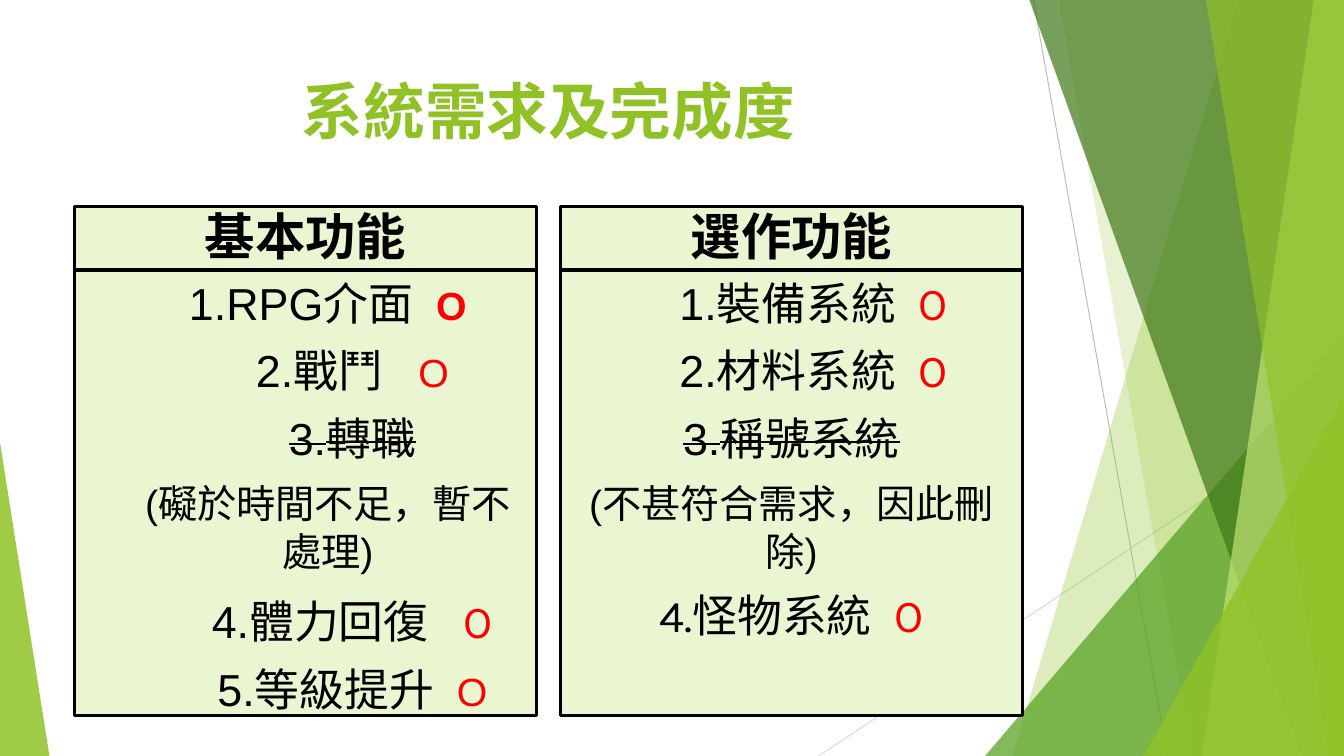
import pptx
import pptx.util
import pptx.dml.color
import pptx.enum.shapes
import pptx.enum.text
import pptx.oxml
import pptx.oxml.ns

Inches, Pt = pptx.util.Inches, pptx.util.Pt
RGB = pptx.dml.color.RGBColor
SHAPE = pptx.enum.shapes.MSO_SHAPE
ANCHOR = pptx.enum.text.MSO_ANCHOR
CENTER = pptx.enum.text.PP_ALIGN.CENTER

LIME = RGB(0x90, 0xC2, 0x26)
GREEN = RGB(0x54, 0xA0, 0x21)
DARK = RGB(0x3F, 0x78, 0x19)
LIGHT = RGB(0xC0, 0xE4, 0x74)
PALE = RGB(0xEA, 0xF6, 0xD1)
BLACK = RGB(0, 0, 0)
RED = RGB(0xFF, 0, 0)
GRAY = RGB(0xBF, 0xBF, 0xBF)
SILVER = RGB(0xD9, 0xD9, 0xD9)

ARIAL, KARLA, NOTO = "Arial", "Karla", "Noto Sans CJK SC"
WIDE, HIGH = 13.33, 7.5
STEP = 0.44  # list indent
DEEP = 0.93  # indent of tabbed items

# Items: text, indent, size, font, struck, space before, gap, mark font, bold mark
BASIC = [
    ("1.RPG介面", STEP, 32, ARIAL, False, 0, 9, ARIAL, True),
    ("2.戰鬥", DEEP, 32, ARIAL, False, 10, 18, ARIAL, False),
    ("3.轉職", DEEP, 32, ARIAL, True, 10, 0, None, False),
    ("(礙於時間不足，暫不處理)", STEP, 28, ARIAL, False, 10, 0, None, False),
    ("4.體力回復", DEEP, 32, ARIAL, False, 14, 18, NOTO, False),
    ("5.等級提升", DEEP, 32, ARIAL, False, 10, 9, ARIAL, False),
]
EXTRA = [
    ("1.裝備系統", STEP, 32, ARIAL, False, 0, 9, NOTO, False),
    ("2.材料系統", STEP, 32, ARIAL, False, 10, 9, NOTO, False),
    ("3.稱號系統", 0, 32, ARIAL, True, 10, 0, None, False),
    ("(不甚符合需求，因此刪除)", 0, 28, ARIAL, False, 10, 0, None, False),
    ("4.怪物系統", 0, 32, KARLA, False, 10, 9, NOTO, False),
]


def paint(shape, color, alpha):
    """Fill a shape with a see-through color and no outline."""
    shape.shadow.inherit = False
    shape.fill.solid()
    shape.fill.fore_color.rgb = color
    shape.line.fill.background()
    tint = shape.fill._xPr.find(".//" + pptx.oxml.ns.qn("a:srgbClr"))
    tint.append(pptx.oxml.parse_xml(
        f'<a:alpha {pptx.oxml.ns.nsdecls("a")} val="{alpha * 1000}"/>'))


def draw_line(slide, start, end, color):
    ends = [Inches(n) for n in (*start, *end)]
    line = slide.shapes.add_connector(
        pptx.enum.shapes.MSO_CONNECTOR.STRAIGHT, *ends)
    line.line.color.rgb = color
    line.line.width = Pt(0.75)
    line._element.spPr.append(pptx.oxml.parse_xml(
        f'<a:effectLst {pptx.oxml.ns.nsdecls("a")}/>'))


def draw_band(slide, top, foot, color, alpha):
    """Band from a slanted left edge to the right side of the slide."""
    pen = slide.shapes.build_freeform(Inches(top), 0, scale=1.0)
    pen.add_line_segments(
        [(Inches(x), Inches(y))
         for x, y in ((WIDE, 0), (WIDE, HIGH), (foot, HIGH))], close=True)
    paint(pen.convert_to_shape(), color, alpha)


def draw_peak(slide, left, top, width, tip, color, alpha):
    """Triangle standing on the bottom edge of the slide."""
    peak = slide.shapes.add_shape(
        SHAPE.ISOSCELES_TRIANGLE, Inches(left), Inches(top),
        Inches(width), Inches(HIGH - top))
    peak.adjustments[0] = tip
    paint(peak, color, alpha)


def draw_back(slide):
    draw_line(slide, (10.25, 0), (11.58, HIGH), GRAY)
    draw_line(slide, (WIDE, 4.03), (8.12, HIGH), SILVER)
    draw_band(slide, 12.28, 10.04, LIME, 30)
    draw_band(slide, 10.5, 11.83, LIME, 20)
    draw_peak(slide, 9.77, 3.33, 3.56, 1, GREEN, 72)
    draw_band(slide, 10.21, 12.91, DARK, 70)
    draw_band(slide, 13.03, 11.92, LIGHT, 70)
    draw_band(slide, 11.96, 13.18, LIME, 65)
    draw_peak(slide, 11.34, 3.93, 1.99, 1, LIME, 80)
    draw_peak(slide, 0, 4.39, 0.49, 0, LIME, 85)


def style(font, name, size, color, bold=False):
    font.name, font.size, font.bold = name, Pt(size), bold
    font.color.rgb = color


def set_title(slide, left, top, width, height):
    title = slide.shapes.title
    title.left, title.top = Inches(left), Inches(top)
    title.width, title.height = Inches(width), Inches(height)
    title.text_frame.vertical_anchor = ANCHOR.TOP
    title.text_frame.text = "系統需求及完成度"
    para = title.text_frame.paragraphs[0]
    para.alignment = CENTER
    style(para.font, KARLA, 44, LIME, True)


def add_box(slide, left, top, width, height, anchor):
    box = slide.shapes.add_shape(
        SHAPE.RECTANGLE, Inches(left), Inches(top),
        Inches(width), Inches(height))
    box.shadow.inherit = False
    box.fill.solid()
    box.fill.fore_color.rgb = PALE
    box.line.color.rgb = BLACK
    box.line.width = Pt(2.25)
    box.text_frame.word_wrap = True
    box.text_frame.vertical_anchor = anchor
    return box.text_frame


def add_item(para, item):
    text, indent, size, name, struck, before, gap, mark, bold = item
    para.alignment = CENTER
    para.space_before = Pt(before)
    para.line_spacing = Pt(38.5 if size == 32 else 34)
    para._p.get_or_add_pPr().set("marL", str(Inches(indent)))
    run = para.add_run()
    run.text = text
    if struck:
        run._r.get_or_add_rPr().set("strike", "sngStrike")
    if not mark:
        style(para.font, name, size, BLACK)
        return
    style(run.font, name, size, BLACK)
    # One space, widened by letter spacing
    space = para.add_run()
    space.text = " "
    style(space.font, name, size, BLACK)
    space._r.get_or_add_rPr().set("spc", str(gap * 100))
    done = para.add_run()
    done.text = "O"
    style(done.font, mark, 28, RED, bold)


def add_panel(slide, left, top, width, height, head, items):
    bar = 0.63
    # Heading
    frame = add_box(slide, left, top, width, bar, ANCHOR.BOTTOM)
    frame.text = head
    para = frame.paragraphs[0]
    para.alignment = CENTER
    style(para.font, ARIAL, 36, BLACK, True)
    # List
    frame = add_box(slide, left, top + bar, width, height - bar, ANCHOR.TOP)
    for i, item in enumerate(items):
        para = frame.add_paragraph() if i else frame.paragraphs[0]
        add_item(para, item)


def main():
    deck = pptx.Presentation()
    deck.slide_width, deck.slide_height = Inches(WIDE), Inches(HIGH)
    slide = deck.slides.add_slide(deck.slide_layouts[5])
    draw_back(slide)
    set_title(slide, 0.74, 0.67, 9.4, 1.44)
    panels = (("基本功能", BASIC), ("選作功能", EXTRA))
    for i, (head, items) in enumerate(panels):
        add_panel(slide, 0.74 + i * 4.82, 2.05, 4.58, 5.05, head, items)
    deck.save("out.pptx")


if __name__ == "__main__":
    main()
